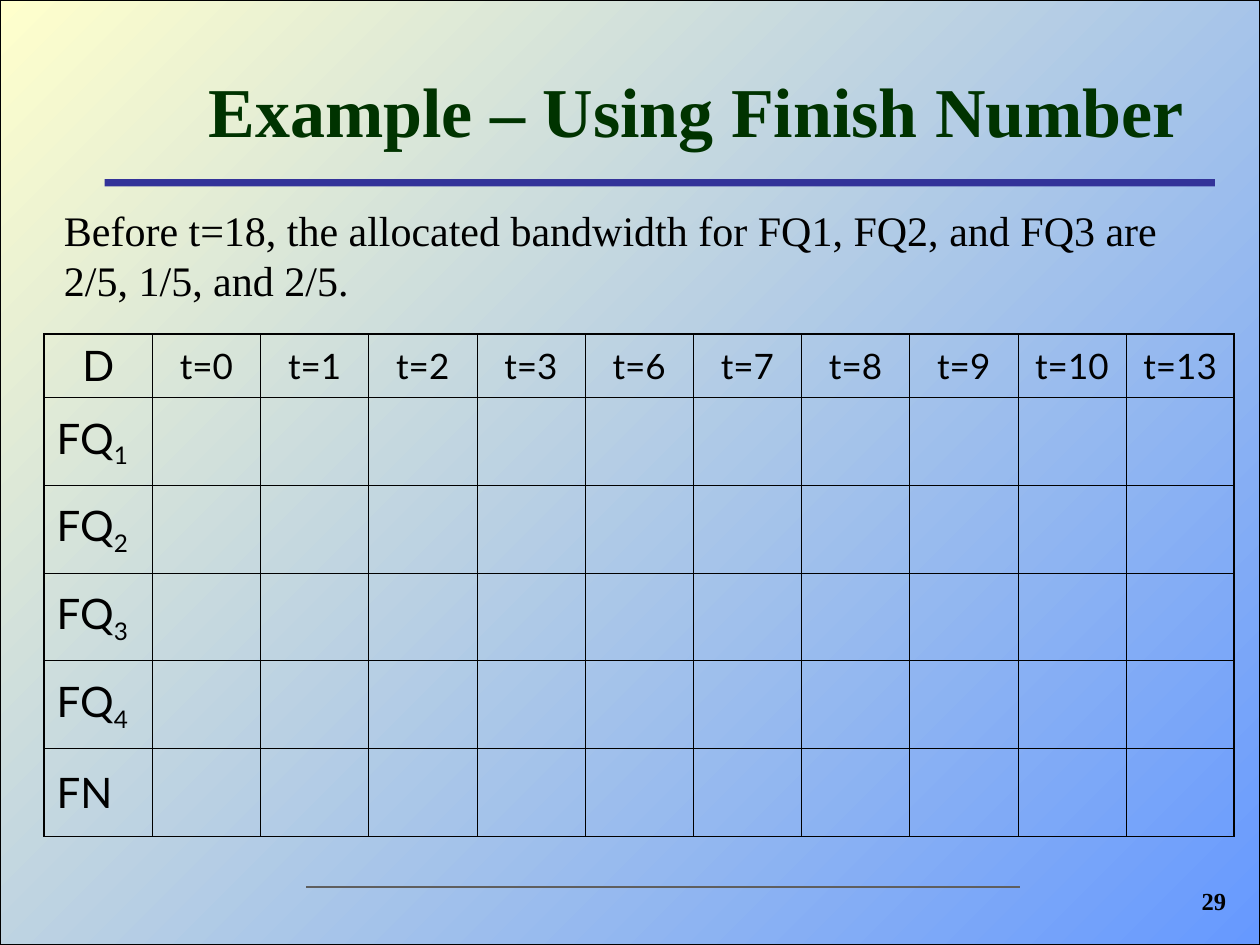
"""Build the slide with the finish number example table."""
from typing import NamedTuple

from lxml.etree import SubElement
from pptx import Presentation
from pptx.dml.color import RGBColor
from pptx.enum.shapes import MSO_CONNECTOR, MSO_SHAPE
from pptx.enum.text import MSO_ANCHOR, PP_ALIGN
from pptx.oxml.ns import qn
from pptx.util import Cm, Pt

COLORS = {
    "paper": "FFFFCC",
    "sky": "6699FF",
    "rule": "333399",
    "footer": "5F5F5F",
    "title": "003300",
    "ink": "000000",
}
SERIF = "Times New Roman"
SANS = "Lato"
TIMES = (0, 1, 2, 3, 6, 7, 8, 9, 10, 13)
OUTER, INNER = 1.08, 0.45


class Box(NamedTuple):
    left: float
    top: float
    width: float
    height: float

    def lengths(self) -> tuple:
        return tuple(Cm(v) for v in self)


class Label(NamedTuple):
    text: str
    box: Box
    size: float
    align: PP_ALIGN = PP_ALIGN.LEFT
    bold: bool = False


class RowHead(NamedTuple):
    text: str
    subscript: str = ""


LABELS = (
    Label("Before t=18, the allocated bandwidth for FQ1, FQ2, and FQ3 are "
          "2/5, 1/5, and 2/5.", Box(1.04, 3.99, 23.65, 2.29), 24),
    Label("29", Box(22.23, 17.73, 2.74, 1.27), 14, PP_ALIGN.RIGHT, True),
)
ROW_HEADS = [RowHead("FQ", str(n)) for n in range(1, 5)] + [RowHead("FN")]


def rgb(name: str) -> RGBColor:
    return RGBColor.from_string(COLORS[name])


def style(p, font: str, size: float, color: str = "ink", bold: bool = False,
          align: PP_ALIGN = PP_ALIGN.LEFT) -> None:
    p.alignment = align
    p.font.name = font
    p.font.size = Pt(size)
    p.font.bold = bold
    p.font.color.rgb = rgb(color)


def add_rect(slide, box: Box):
    sp = slide.shapes.add_shape(MSO_SHAPE.RECTANGLE, *box.lengths())
    sp.shadow.inherit = False
    return sp


def add_backdrop(slide) -> None:
    slide.background.fill.solid()
    slide.background.fill.fore_color.rgb = rgb("paper")
    sp = add_rect(slide, Box(0, 0, 25.4, 19.05))
    sp.fill.gradient()
    sp.fill.gradient_angle = 135
    for stop, name in zip(sp.fill.gradient_stops, ("sky", "paper")):
        stop.color.rgb = rgb(name)
    sp.line.color.rgb = rgb("ink")
    sp.line.width = Pt(0.75)


def add_rules(slide) -> None:
    sp = add_rect(slide, Box(2.11, 3.61, 22.38, 0.15))
    sp.fill.solid()
    sp.fill.fore_color.rgb = rgb("rule")
    sp.line.fill.background()
    line = slide.shapes.add_connector(
        MSO_CONNECTOR.STRAIGHT, Cm(6.17), Cm(17.88), Cm(20.57), Cm(17.88))
    line.line.color.rgb = rgb("footer")
    line.line.width = Pt(1.5)
    SubElement(line.element.spPr, qn("a:effectLst"))


def add_title(slide, text: str) -> None:
    sp = slide.shapes.title
    sp.element.getparent().append(sp.element)
    sp.left, sp.top, sp.width, sp.height = Box(3.51, 0.84, 21.06, 2.74).lengths()
    tf = sp.text_frame
    tf.text = text
    tf.vertical_anchor = MSO_ANCHOR.MIDDLE
    style(tf.paragraphs[0], SERIF, 40, "title", True, PP_ALIGN.CENTER)


def add_label(slide, label: Label) -> None:
    tf = slide.shapes.add_textbox(*label.box.lengths()).text_frame
    tf.word_wrap = True
    tf.text = label.text
    style(tf.paragraphs[0], SERIF, label.size, bold=label.bold, align=label.align)


def set_borders(cell, widths: dict[str, float]) -> None:
    tc_pr = cell._tc.get_or_add_tcPr()
    for i, (side, width) in enumerate(widths.items()):
        ln = tc_pr.makeelement(qn(f"a:ln{side}"), {"w": str(Pt(width))})
        fill = SubElement(ln, qn("a:solidFill"))
        SubElement(fill, qn("a:srgbClr"), val=COLORS["ink"])
        tc_pr.insert(i, ln)


def fill_cell(cell, text: str, size: float, align: PP_ALIGN,
              subscript: str = "") -> None:
    p = cell.text_frame.paragraphs[0]
    style(p, SANS, size, align=align)
    p.add_run().text = text
    if subscript:
        r = p.add_run()
        r.text = subscript
        r.font._element.set("baseline", "-25000")


def add_schedule(slide) -> None:
    n_rows, n_cols = len(ROW_HEADS) + 1, len(TIMES) + 1
    table = slide.shapes.add_table(
        n_rows, n_cols, *Box(0.89, 6.73, 24, 10.13).lengths()).table
    table.first_row = table.horz_banding = False
    for i, row in enumerate(table.rows):
        row.height = Cm(1.77 if i else 1.28)
        for j, cell in enumerate(row.cells):
            cell.fill.background()
            cell.vertical_anchor = MSO_ANCHOR.MIDDLE
            edges = {"L": j == 0, "R": j == n_cols - 1,
                     "T": i == 0, "B": i == n_rows - 1}
            set_borders(cell, {k: OUTER if v else INNER for k, v in edges.items()})
    fill_cell(table.cell(0, 0), "D", 24, PP_ALIGN.CENTER)
    for j, t in enumerate(TIMES, 1):
        fill_cell(table.cell(0, j), f"t={t}", 20, PP_ALIGN.CENTER)
    for i, head in enumerate(ROW_HEADS, 1):
        fill_cell(table.cell(i, 0), head.text, 24, PP_ALIGN.LEFT, head.subscript)


def main() -> None:
    prs = Presentation()
    prs.slide_width, prs.slide_height = Cm(25.4), Cm(19.05)
    slide = prs.slides.add_slide(prs.slide_layouts[5])
    add_backdrop(slide)
    add_rules(slide)
    add_title(slide, "Example – Using Finish Number")
    add_schedule(slide)
    for label in LABELS:
        add_label(slide, label)
    prs.save("out.pptx")


if __name__ == "__main__":
    main()
